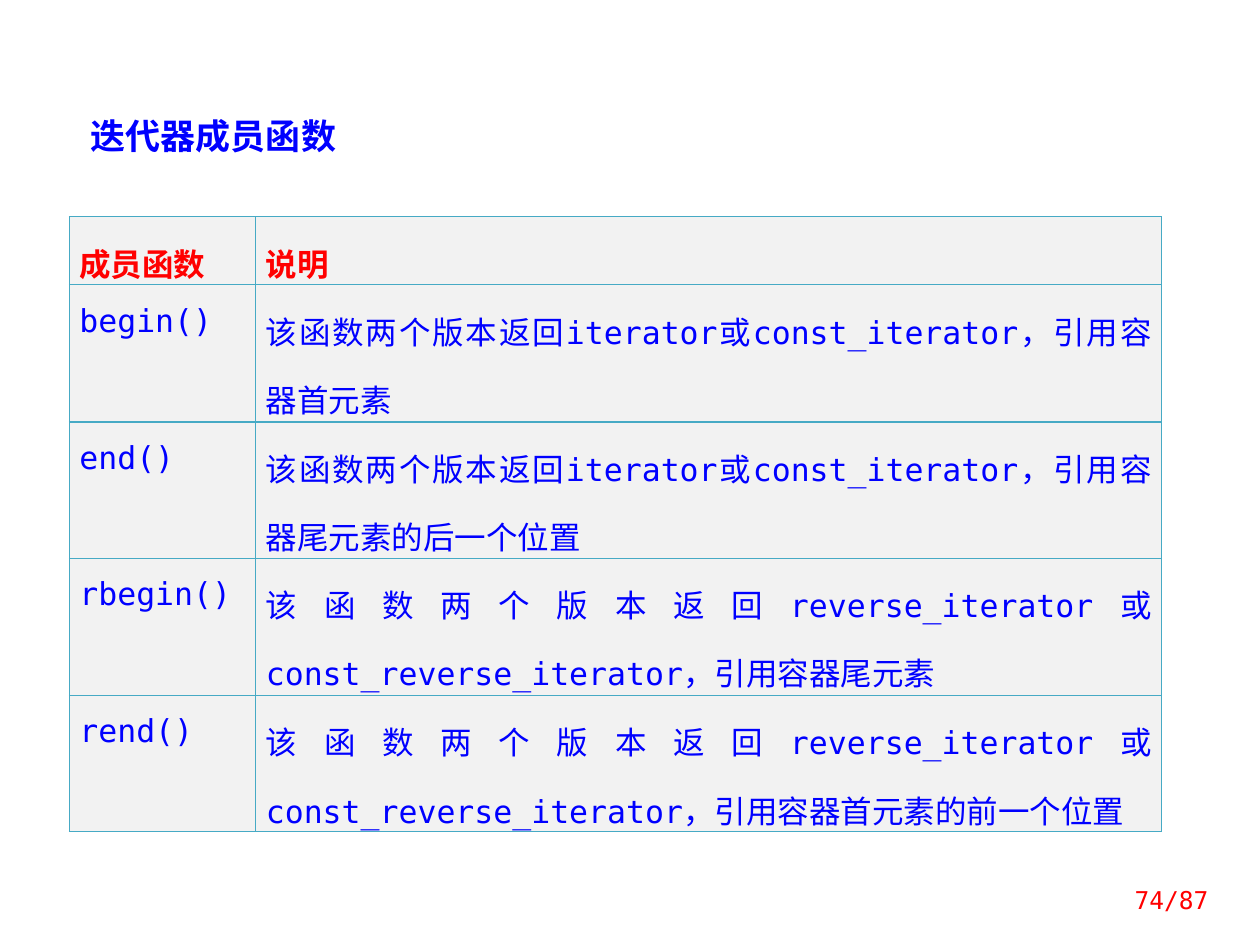
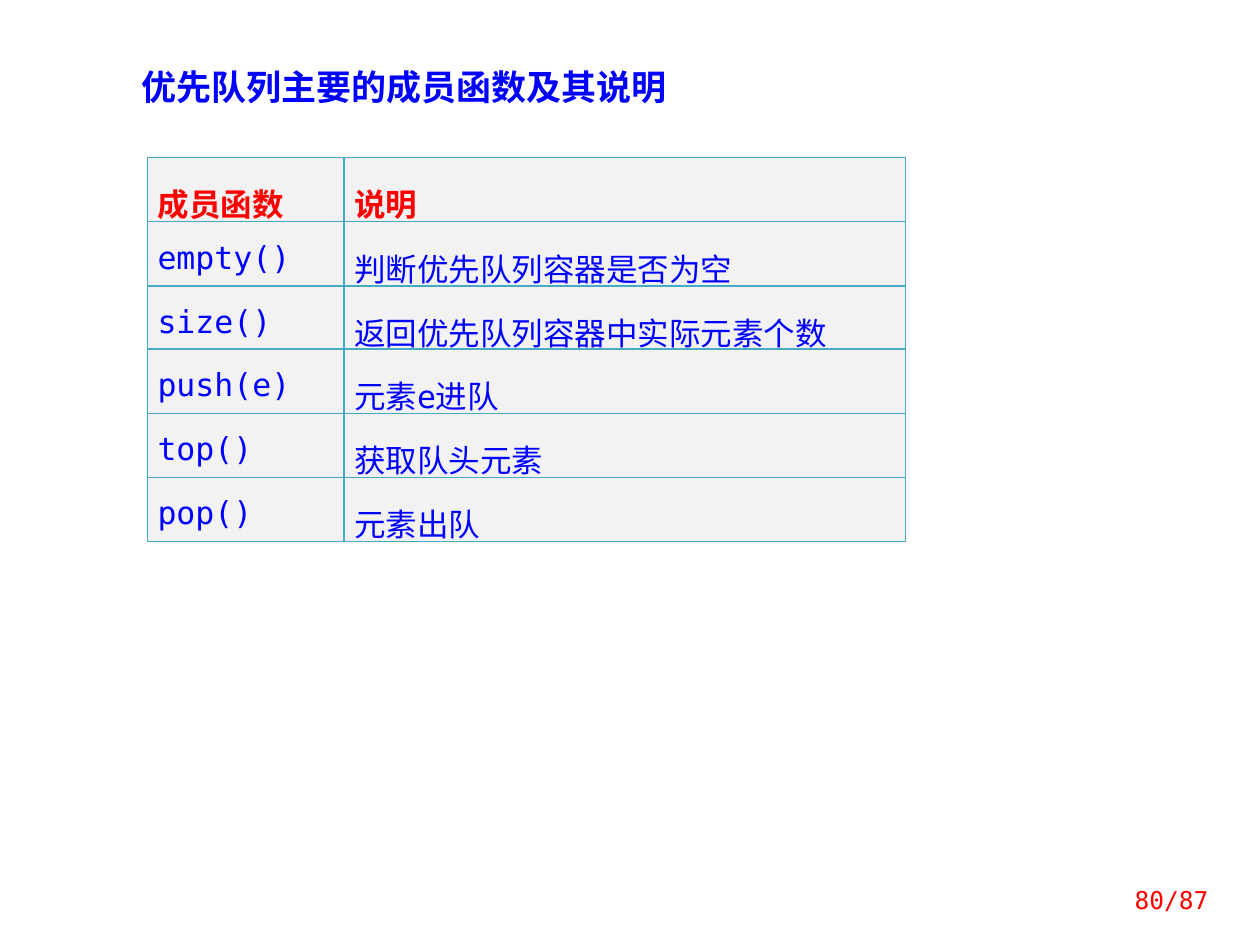
from dataclasses import dataclass

from lxml import etree
from pptx import Presentation
from pptx import util as u
from pptx.dml.color import RGBColor
from pptx.enum import lang, text
from pptx.oxml import ns


@dataclass(frozen=True)
class Theme:
    """Colours, font and type sizes shared by the slides."""
    face: str = "DejaVu Sans Mono"
    blue: str = "0000FF"
    red: str = "FF0000"
    fill: str = "F2F2F2"
    rule: str = "46AAC5"
    title: int = 20
    body: int = 18
    page: int = 14


T = Theme()
HEAD = ("成员函数", "说明")
TOTAL = 87


def style(para, size, color, bold=False):
    """Format every run of a paragraph."""
    for run in para.runs:
        font = run.font
        font.name, font.size, font.bold = T.face, u.Pt(size), bold
        font.color.rgb = RGBColor.from_string(color)
        font.language_id = lang.MSO_LANGUAGE_ID.SIMPLIFIED_CHINESE


def add_title(slide, words, box):
    """Move and format the title placeholder."""
    title = slide.shapes.title
    title.left, title.top, title.width, title.height = map(u.Inches, box)
    frame = title.text_frame
    frame.text = words
    frame.word_wrap = True
    frame.auto_size = text.MSO_AUTO_SIZE.SHAPE_TO_FIT_TEXT
    frame.vertical_anchor = text.MSO_ANCHOR.TOP
    para = frame.paragraphs[0]
    para.alignment = text.PP_ALIGN.LEFT
    style(para, T.title, T.blue, True)


def add_page(slide, num):
    """Write the page count at the lower right."""
    box = slide.shapes.add_textbox(*map(u.Inches, (8.67, 6.94, 1.02, 0.4)))
    frame = box.text_frame
    frame.text = f"{num}/{TOTAL}"
    frame.word_wrap = True
    frame.vertical_anchor = text.MSO_ANCHOR.MIDDLE
    para = frame.paragraphs[0]
    para.alignment = text.PP_ALIGN.RIGHT
    style(para, T.page, T.red)


def add_rules(cell):
    """Draw a thin line on all four sides of a cell."""
    props = cell._tc.get_or_add_tcPr()
    for side in "LRTB":
        line = etree.SubElement(props, ns.qn(f"a:ln{side}"), w=str(u.Pt(0.75)))
        solid = etree.SubElement(line, ns.qn("a:solidFill"))
        etree.SubElement(solid, ns.qn("a:srgbClr"), val=T.rule)


def fill_cell(cell, words, head):
    """Set the text and look of one cell."""
    add_rules(cell)
    cell.fill.solid()
    cell.fill.fore_color.rgb = RGBColor.from_string(T.fill)
    cell.margin_left = cell.margin_right = u.Inches(0.08)
    cell.margin_top = cell.margin_bottom = 0
    cell.text_frame.text = words
    para = cell.text_frame.paragraphs[0]
    para.alignment = text.PP_ALIGN.JUSTIFY
    para.line_spacing = 1.5
    style(para, T.body, T.red if head else T.blue, head)


def add_grid(slide, spot, cols, highs, rows):
    """Build the table of member functions at a given spot."""
    rows = [HEAD, *rows]
    box = (*spot, sum(cols), sum(highs))
    grid = slide.shapes.add_table(len(rows), len(cols), *map(u.Inches, box)).table
    grid.first_row = grid.horz_banding = False
    for col, wide in zip(grid.columns, cols):
        col.width = u.Inches(wide)
    for i, (row, high) in enumerate(zip(grid.rows, highs)):
        row.height = u.Inches(high)
        for cell, words in zip(row.cells, rows[i]):
            fill_cell(cell, words, i == 0)


def add_slide(deck, title, box, num, **grid):
    """Build one slide with a title, a table and a page count."""
    slide = deck.slides.add_slide(deck.slide_layouts.get_by_name("Title Only"))
    add_title(slide, title, box)
    add_grid(slide, **grid)
    add_page(slide, num)


def main():
    """Build and save the deck."""
    deck = Presentation()
    deck.slide_width, deck.slide_height = u.Inches(10), u.Inches(7.5)
    pair = "该函数两个版本返回{0}iterator或const_{0}iterator，引用容器{1}"
    add_slide(
        deck, "迭代器成员函数", (0.62, 0.86, 5, 0.44), 74,
        spot=(0.55, 1.72), cols=(1.48, 7.19), highs=(0.54, 1.09, 1.08, 1.09, 1.08),
        rows=[
            ("begin()", pair.format("", "首元素")),
            ("end()", pair.format("", "尾元素的后一个位置")),
            ("rbegin()", pair.format("reverse_", "尾元素")),
            ("rend()", pair.format("reverse_", "首元素的前一个位置")),
        ])
    add_slide(
        deck, "优先队列主要的成员函数及其说明", (1.02, 0.47, 4.61, 0.44), 80,
        spot=(1.17, 1.25), cols=(1.56, 4.46), highs=(0.51, 0.51, 0.5, 0.51, 0.51, 0.51),
        rows=[
            ("empty()", "判断优先队列容器是否为空"),
            ("size()", "返回优先队列容器中实际元素个数"),
            ("push(e)", "元素e进队"),
            ("top()", "获取队头元素"),
            ("pop()", "元素出队"),
        ])
    deck.save("out.pptx")


if __name__ == "__main__":
    main()
